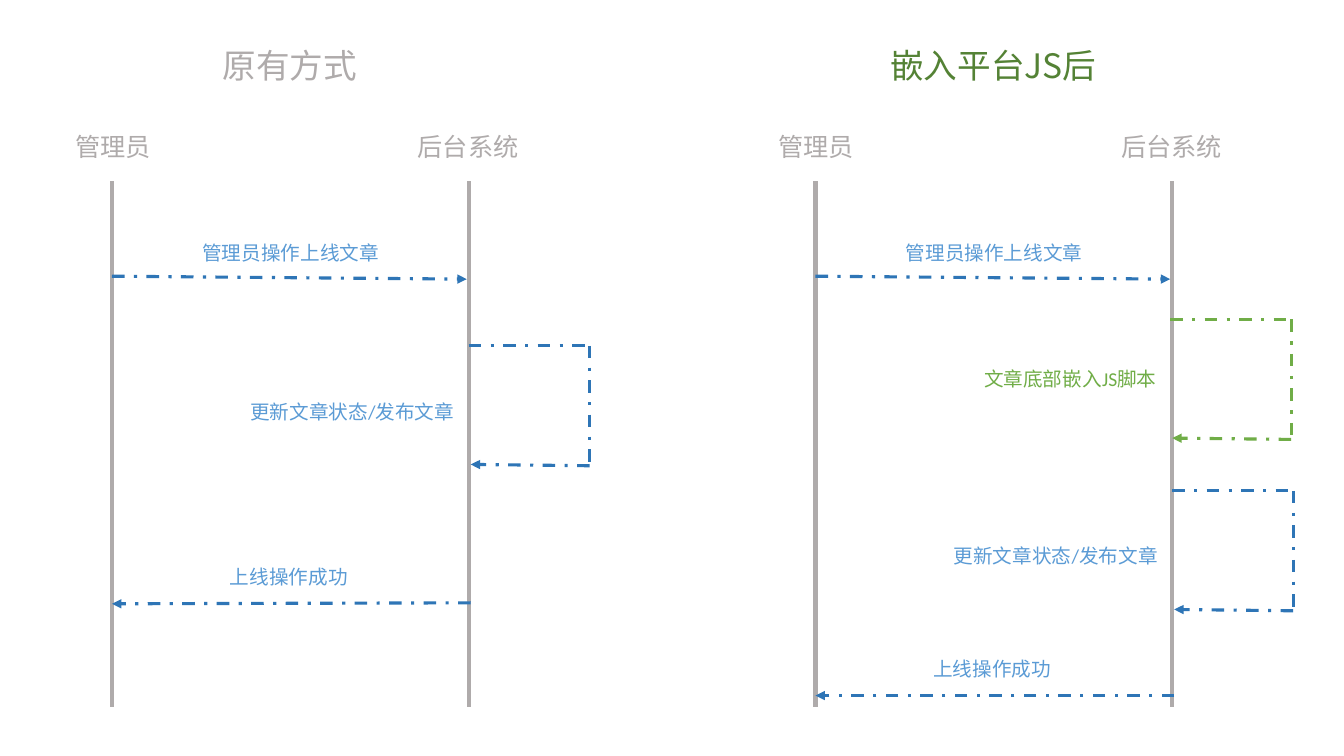
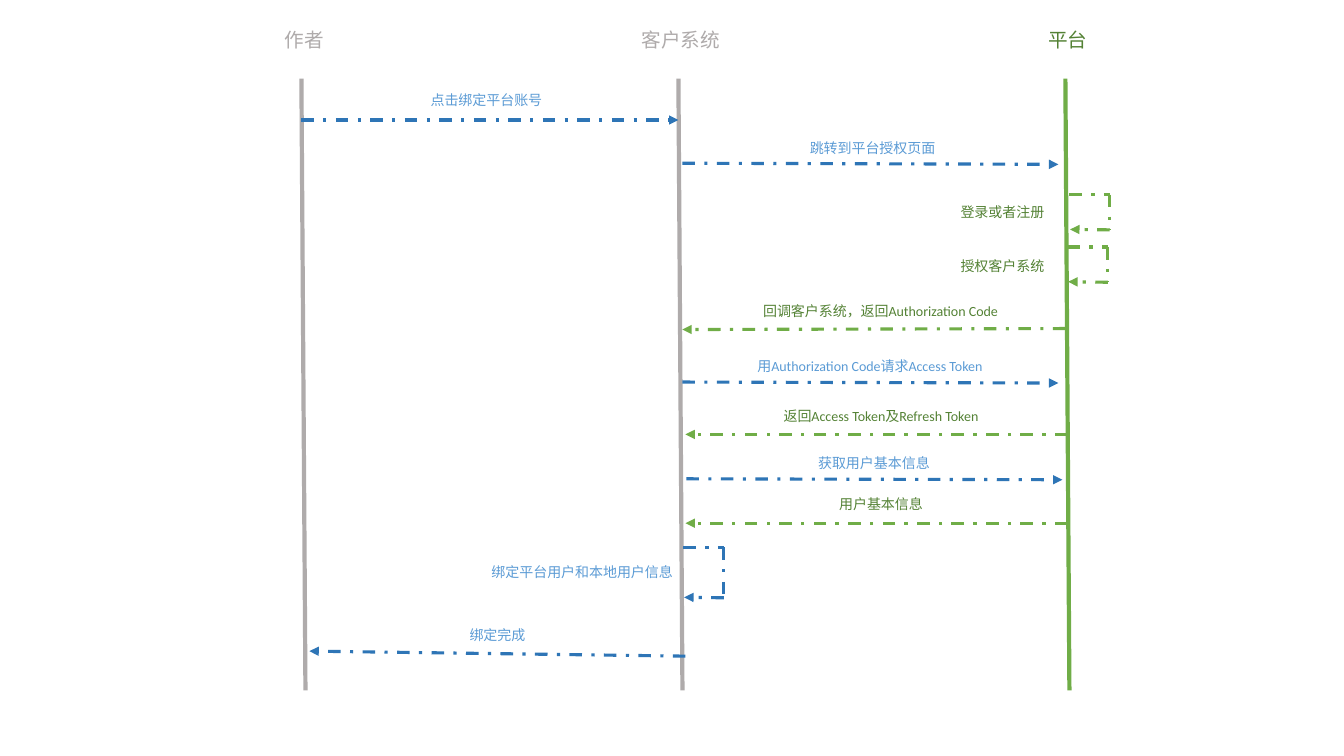
import pptx
import pptx.util
import pptx.dml.color
import pptx.enum.dml
import pptx.enum.shapes
import pptx.enum.text
import pptx.oxml
import pptx.oxml.ns

Pt = pptx.util.Pt
RGB = pptx.dml.color.RGBColor
GREY = RGB(0xAF, 0xAB, 0xAB)
BLUE = RGB(0x2E, 0x75, 0xB6)
SKY = RGB(0x5B, 0x9B, 0xD5)
LIME = RGB(0x70, 0xAD, 0x47)
MOSS = RGB(0x54, 0x82, 0x35)
HAN = "Noto Sans CJK SC"

# A tone pairs the line colour with the label colour.
CALL, REPLY, EXTRA = (BLUE, SKY), (LIME, MOSS), (LIME, LIME)

# Heads: text, centre x, width.
ACTORS = [("管理员", 80.6, 85), ("后台系统", 334.4, 98.6)]
LANES = [80, 334.8]
STEP = 502.5  # from the left panel to the right one

# Messages: text, label centre, label top, label width, tone, start, end.
# Loops: text, label centre, label top, label width, tone, corner, reach, drop.
START = ("管理员操作上线文章", 207.7, 168.5, 198, CALL, (80, 197.3), (333.4, 199.4))
PANELS = [
    ("原有方式", GREY,
     [START, ("上线操作成功", 206.3, 399.6, 198, CALL, (336.2, 430.6), (80, 431.3))],
     [("更新文章状态/发布文章", 251.6, 282.2, 198, CALL, (334.8, 247), 86.4, 85.7)]),
    ("嵌入平台JS后", MOSS,
     [START, ("上线操作成功", 206.3, 465.8, 198, CALL, (336.2, 496.8), (80, 496.8))],
     [("更新文章状态/发布文章", 251.6, 385.2, 198, CALL, (334.8, 350.6), 86.4, 85.7),
      ("文章底部嵌入JS脚本", 262.1, 258.5, 175.7, EXTRA, (333.4, 228.2), 86.4, 85.7)]),
]

# Parties: text, centre x, width, text colour, lane x, lane colour.
PARTIES = [
    ("作者", 217.4, 85, GREY, 215.3, GREY),
    ("客户系统", 486.4, 98.6, GREY, 484.6, GREY),
    ("平台", 762.8, 98.6, MOSS, 761, LIME),
]
LEAN = 2.9
GRANTS = [
    ("点击绑定平台账号", 347.4, 61.9, 198, CALL, (215.3, 85.7), (484.6, 85.7)),
    ("跳转到平台授权页面", 623.2, 95.8, 198, CALL, (487.4, 116.6), (756, 117.4)),
    ("回调客户系统，返回Authorization Code", 628.9, 212.4, 186.5, REPLY,
     (761, 234.7), (487.4, 235.4)),
    ("用Authorization Code请求Access Token", 621.4, 252, 217.4, CALL,
     (487.4, 272.9), (756, 273.6)),
    ("返回Access Token及Refresh Token", 629.3, 287.3, 182.9, REPLY,
     (762.5, 310.3), (489.6, 310.3)),
    ("获取用户基本信息", 624.2, 321.1, 217.4, CALL, (490.3, 342), (758.9, 342.7)),
    ("用户基本信息", 629.3, 350.6, 182.9, REPLY, (762.5, 373.7), (489.6, 373.7)),
    ("绑定完成", 355.3, 444.2, 198, CALL, (489.6, 468.7), (221, 465.1)),
]
CHECKS = [
    ("登录或者注册", 716, 141.8, 95.8, REPLY, (763.9, 139), 28.8, 25.2),
    ("授权客户系统", 716, 180.7, 95.8, REPLY, (762.5, 176.4), 28.8, 25.2),
    ("绑定平台用户和本地用户信息", 415.8, 398.9, 146.2, CALL, (488.2, 391), 28.8, 36),
]


def write(slide, text, mid, top, wide, size=14, color=GREY, font="Calibri"):
    """Add one centred line of text around the x position mid."""
    box = slide.shapes.add_textbox(
        Pt(mid - wide / 2), Pt(top), Pt(wide), Pt(size * 1.2 + 7.2))
    frame = box.text_frame
    frame.word_wrap = True
    para = frame.paragraphs[0]
    para.alignment = pptx.enum.text.PP_ALIGN.CENTER
    run = para.add_run()
    run.text = text
    run.font.size = Pt(size)
    run.font.name = font
    run.font.color.rgb = color
    node = pptx.oxml.parse_xml(
        '<a:ea %s typeface="%s"/>' % (pptx.oxml.ns.nsdecls("a"), HAN))
    run.font._element.append(node)


def draw(slide, start, end, color, width=2.25, dash=True, arrow=False):
    """Add a straight line, with dashes and an arrowhead on request."""
    line = slide.shapes.add_connector(
        pptx.enum.shapes.MSO_CONNECTOR.STRAIGHT,
        Pt(start[0]), Pt(start[1]), Pt(end[0]), Pt(end[1]))
    line.line.color.rgb = color
    line.line.width = Pt(width)
    if dash:
        line.line.dash_style = pptx.enum.dml.MSO_LINE.DASH_DOT
    space = pptx.oxml.ns.nsdecls("a")
    if arrow:
        line.line._get_or_add_ln().append(
            pptx.oxml.parse_xml('<a:tailEnd %s type="triangle"/>' % space))
    line._element.spPr.append(pptx.oxml.parse_xml("<a:effectLst %s/>" % space))


def send(slide, row, size, shift=0):
    """Draw a message arrow with its label."""
    text, mid, top, wide, (ink, tint), start, end = row
    draw(slide, (start[0] + shift, start[1]), (end[0] + shift, end[1]), ink, arrow=True)
    write(slide, text, mid + shift, top, wide, size=size, color=tint)


def loop(slide, row, size, shift=0):
    """Draw a three-sided loop back to its own lane, with its label."""
    text, mid, top, wide, (ink, tint), (left, high), reach, drop = row
    left += shift
    right, low = left + reach, high + drop
    draw(slide, (left, high), (right, high), ink)
    draw(slide, (right, high), (right, low), ink)
    draw(slide, (right, low), (left + reach / 60, low - reach / 90), ink, arrow=True)
    write(slide, text, mid + shift, top, wide, size=size, color=tint)


def steps(slide, sends, loops, size, shift=0):
    """Draw all messages and loops of one diagram."""
    for row in sends:
        send(slide, row, size, shift)
    for row in loops:
        loop(slide, row, size, shift)


def compare(slide):
    """Draw the two publishing flows side by side."""
    for index, (title, color, sends, loops) in enumerate(PANELS):
        shift = index * STEP
        write(slide, title, 207 + shift, 28.8, 176.4, size=24, color=color, font=HAN)
        for lane in LANES:
            draw(slide, (lane + shift, 129.6), (lane + shift, 504.7), GREY,
                 width=3, dash=False)
        for text, mid, wide in ACTORS:
            write(slide, text, mid + shift, 90, wide, size=18)
        steps(slide, sends, loops, 14, shift)


def bind(slide):
    """Draw the account binding flow between three parties."""
    for text, mid, wide, color, lane, ink in PARTIES:
        write(slide, text, mid, 16.6, wide, color=color)
        draw(slide, (lane, 56.2), (lane + LEAN, 493.2), ink, width=3, dash=False)
    steps(slide, GRANTS, CHECKS, 10)


deck = pptx.Presentation()
deck.slide_width, deck.slide_height = Pt(960), Pt(540)
for build in (compare, bind):
    build(deck.slides.add_slide(deck.slide_layouts[6]))
deck.save("out.pptx")
